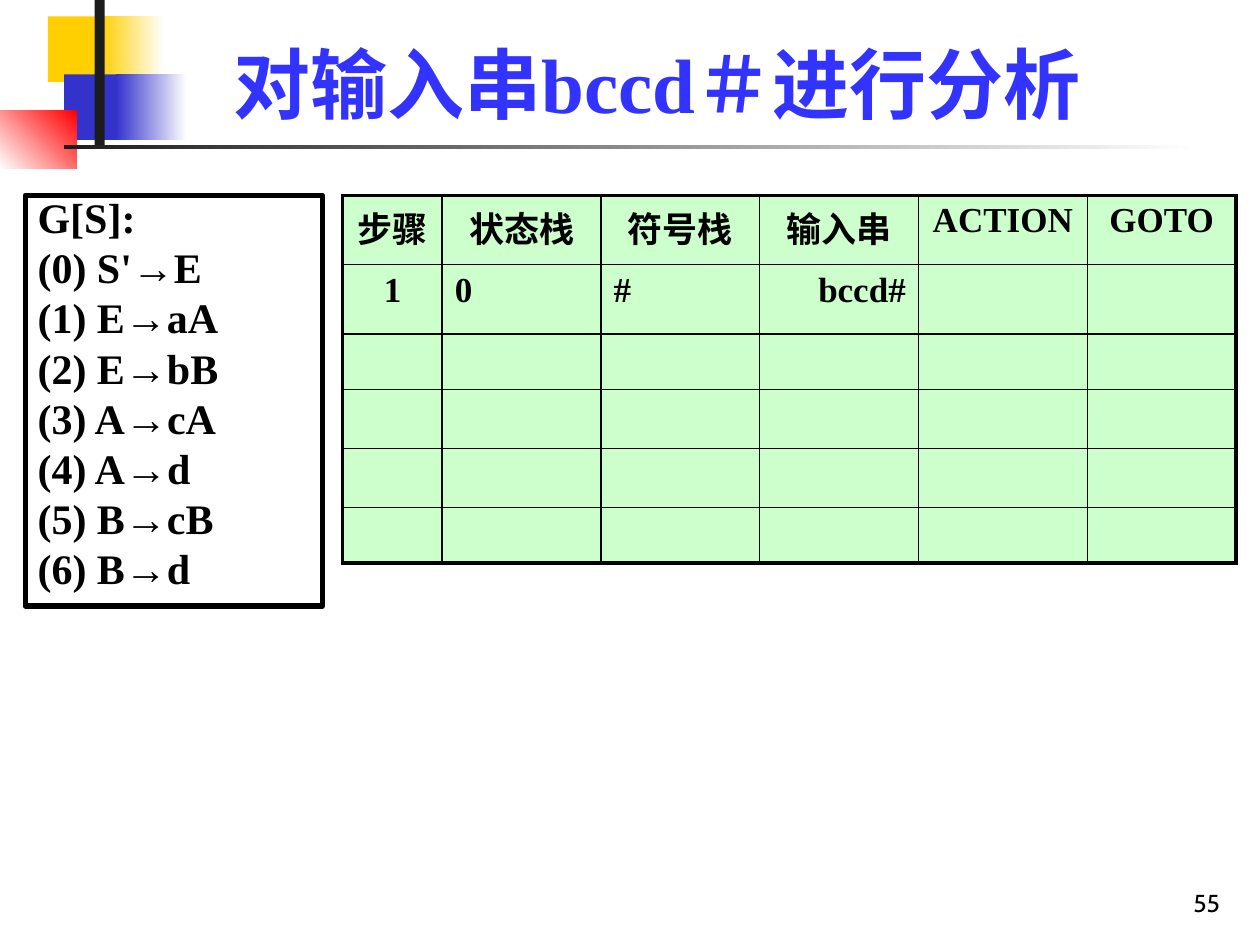
from pptx import Presentation
from pptx.dml.color import RGBColor
from pptx.enum.shapes import MSO_SHAPE
from pptx.enum.text import MSO_ANCHOR, MSO_AUTO_SIZE, PP_ALIGN
from pptx.oxml.ns import qn
from pptx.util import Inches, Pt
from lxml.etree import SubElement

BLACK = RGBColor(0x00, 0x00, 0x00)
WHITE = RGBColor(0xFF, 0xFF, 0xFF)
INK = RGBColor(0x1C, 0x1C, 0x1C)
GOLD = RGBColor(0xFF, 0xCF, 0x01)
BLUE = RGBColor(0x33, 0x33, 0xCC)
RED = RGBColor(0xFF, 0x00, 0x00)
TITLE_BLUE = RGBColor(0x33, 0x33, 0xFF)
MINT = RGBColor(0xCC, 0xFF, 0xCC)
SERIF, SANS = "Times New Roman", "Cabin"
LEFT, CENTER, RIGHT = PP_ALIGN.LEFT, PP_ALIGN.CENTER, PP_ALIGN.RIGHT

# Content
TITLE = "对输入串bccd＃进行分析"
PAGE = "55"
GRAMMAR = ["G[S]:", "(0) S'→E", "(1) E→aA", "(2) E→bB", "(3) A→cA",
           "(4) A→d", "(5) B→cB", "(6) B→d"]
HEADER = ["步骤", "状态栈", "符号栈", "输入串", "ACTION", "GOTO"]
STEP = ["1", "0", "#", "bccd#"]
STEP_ALIGN = [CENTER, LEFT, LEFT, RIGHT]
COLS = [0.79, 1.26, 1.26, 1.26, 1.34, 1.18]
ROWS = [0.55, 0.55, 0.44, 0.47, 0.47, 0.44]

# Corner ornament: box, start colour, end colour, angle
ORNAMENT = [
    ((0.38, 0.13, 0.67, 0.52), GOLD, None, 0),
    ((0.8, 0.13, 0.5, 0.52), GOLD, WHITE, 0),
    ((0.51, 0.59, 0.64, 0.52), BLUE, None, 0),
    ((0.92, 0.59, 0.56, 0.52), BLUE, WHITE, 0),
    ((0, 0.88, 0.61, 0.46), WHITE, RED, 45),
    ((0.75, 0, 0.08, 1.15), INK, None, 0),
    ((0.51, 1.15, 9, 0.03), INK, WHITE, 0),
]


def write(tf, lines, size, font=SERIF, color=BLACK, bold=True, align=LEFT,
          anchor=MSO_ANCHOR.TOP, gap=0, spacing=None):
    tf.word_wrap = True
    tf.vertical_anchor = anchor
    for i, line in enumerate(lines):
        p = tf.paragraphs[0] if i == 0 else tf.add_paragraph()
        p.alignment = align
        p.line_spacing = spacing
        if i:
            p.space_before = Pt(gap)
        r = p.add_run()
        r.text = line
        r.font.size, r.font.name, r.font.bold = Pt(size), font, bold
        r.font.color.rgb = color


def add_rect(slide, box, start, end=None, angle=0):
    sp = slide.shapes.add_shape(MSO_SHAPE.RECTANGLE, *map(Inches, box))
    sp.shadow.inherit = False
    sp.line.fill.background()
    if end is None:
        sp.fill.solid()
        sp.fill.fore_color.rgb = start
    else:
        sp.fill.gradient()
        sp.fill.gradient_angle = angle
        for stop, color, pos in zip(sp.fill.gradient_stops, (start, end), (0, 1)):
            stop.color.rgb, stop.position = color, pos
    return sp


def set_borders(cell, widths):
    tcPr = cell._tc.get_or_add_tcPr()
    for side, width in zip("LRTB", widths):
        ln = SubElement(tcPr, qn("a:ln" + side), w=str(Pt(width)))
        fill = SubElement(ln, qn("a:solidFill"))
        SubElement(fill, qn("a:srgbClr"), val=str(BLACK))


prs = Presentation()
prs.slide_width, prs.slide_height = Inches(10), Inches(7.5)
slide = prs.slides.add_slide(prs.slide_layouts[5])

for box, start, end, angle in ORNAMENT:
    add_rect(slide, box, start, end, angle)

# Page number
sp = slide.shapes.add_textbox(*map(Inches, (7.7, 6.83, 2.08, 0.5)))
write(sp.text_frame, [PAGE], 14, font=SANS, bold=False, align=RIGHT,
      anchor=MSO_ANCHOR.BOTTOM)

# Title
title = slide.shapes.title
title.left, title.top, title.width, title.height = map(Inches, (1.26, 0.23, 7.91, 0.84))
title.text_frame.auto_size = MSO_AUTO_SIZE.NONE
write(title.text_frame, [TITLE], 44, color=TITLE_BLUE, align=CENTER,
      anchor=MSO_ANCHOR.BOTTOM)

# Grammar box
sp = add_rect(slide, (0.2, 1.55, 2.36, 3.26), WHITE)
sp.line.color.rgb, sp.line.width = BLACK, Pt(3)
write(sp.text_frame, GRAMMAR, 24, gap=5.6, spacing=0.8)

# Analysis table
table = slide.shapes.add_table(len(ROWS), len(COLS), Inches(2.72), Inches(1.55),
                               Inches(sum(COLS)), Inches(sum(ROWS))).table
for col, width in zip(table.columns, COLS):
    col.width = Inches(width)
for row, height in zip(table.rows, ROWS):
    row.height = Inches(height)
last_row, last_col = len(ROWS) - 1, len(COLS) - 1
for i in range(len(ROWS)):
    for j in range(len(COLS)):
        cell = table.cell(i, j)
        outer = (j == 0, j == last_col, i == 0, i == last_row)
        set_borders(cell, [2.25 if edge else 1 for edge in outer])
        cell.fill.solid()
        cell.fill.fore_color.rgb = MINT
for j, text in enumerate(HEADER):
    write(table.cell(0, j).text_frame, [text], 20, align=CENTER)
for j, (text, align) in enumerate(zip(STEP, STEP_ALIGN)):
    write(table.cell(1, j).text_frame, [text], 20, align=align)

prs.save("out.pptx")
